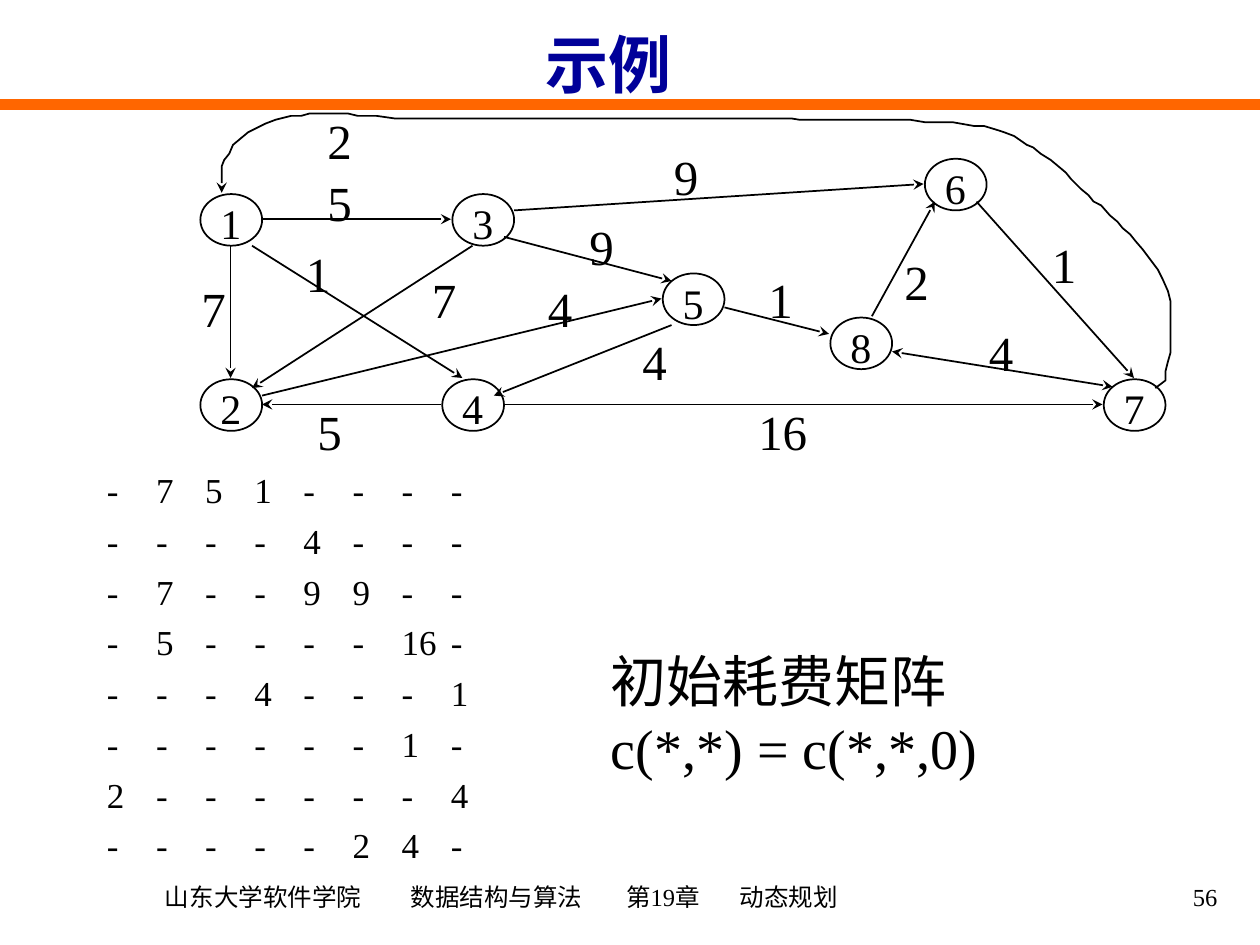
from dataclasses import dataclass

from lxml.etree import SubElement
from pptx import Presentation
from pptx.dml.color import RGBColor
from pptx.enum.shapes import MSO_CONNECTOR as Link, MSO_SHAPE as Kind
from pptx.enum.text import MSO_ANCHOR as Anchor, PP_ALIGN as Align
from pptx.oxml.ns import qn
from pptx.util import Inches, Pt

BLACK = RGBColor(0x00, 0x00, 0x00)
NAVY = RGBColor(0x00, 0x00, 0x99)
ORANGE = RGBColor(0xFF, 0x66, 0x00)
SERIF = "Times New Roman"
HAN = "Noto Sans CJK SC"


@dataclass(frozen=True)
class Node:
    name: str
    left: float
    top: float


@dataclass(frozen=True)
class Edge:
    x1: float
    y1: float
    x2: float
    y2: float
    both: bool = False


@dataclass(frozen=True)
class Cost:
    text: str
    left: float
    top: float
    width: float = 0.42


@dataclass(frozen=True)
class Style:
    size: float
    color: RGBColor = BLACK
    face: str = SERIF
    bold: bool = False
    align: Align = Align.LEFT
    anchor: Anchor = Anchor.TOP
    gap: float = 0
    inset: float = 0.1
    wrap: bool = True
    stops: tuple[float, ...] = ()


NODES = (
    Node("1", 1.59, 1.54), Node("2", 1.59, 3.01), Node("3", 3.59, 1.54),
    Node("4", 3.51, 3.01), Node("5", 5.26, 2.17), Node("6", 7.34, 1.26),
    Node("7", 8.76, 3.01), Node("8", 6.59, 2.52),
)
EDGES = (
    Edge(1.83, 1.95, 1.83, 3), Edge(3.5, 3.21, 2.08, 3.21),
    Edge(2.08, 1.74, 3.58, 1.74), Edge(2, 1.95, 3.67, 3),
    Edge(3.75, 1.95, 2, 3.08), Edge(4, 1.88, 5.33, 2.23),
    Edge(2.08, 3.14, 5.25, 2.37), Edge(5.33, 2.58, 3.92, 3.14),
    Edge(4, 3.21, 8.75, 3.21), Edge(5.75, 2.44, 6.58, 2.65),
    Edge(4.08, 1.67, 7.33, 1.46), Edge(7.75, 1.6, 9, 3),
    Edge(7.08, 2.79, 8.83, 3.07, both=True), Edge(6.92, 2.51, 7.42, 1.6),
)
COSTS = (
    Cost("5", 2.5, 1.32), Cost("7", 1.5, 2.16), Cost("1", 2.33, 1.88, 0.67),
    Cost("7", 3.33, 2.09), Cost("9", 5.25, 1.11), Cost("1", 6, 2.09, 0.67),
    Cost("9", 4.58, 1.67), Cost("4", 4.25, 2.16), Cost("4", 5, 2.58),
    Cost("5", 2.42, 3.14), Cost("16", 5.92, 3.14, 0.83), Cost("4", 7.75, 2.51),
    Cost("2", 2.5, 0.83), Cost("1", 8.25, 1.81), Cost("2", 7.08, 1.95),
)
CURVE = (
    (9.17, 3.08), (9.25, 3.02), (9.25, 2.95), (9.27, 2.87), (9.29, 2.8),
    (9.29, 2.39), (9.27, 2.31), (9.23, 2.22), (9.19, 2.14), (9.13, 2.06),
    (9.07, 1.98), (9.01, 1.91), (8.97, 1.86), (8.91, 1.81), (8.87, 1.76),
    (8.81, 1.71), (8.74, 1.63), (8.68, 1.6), (8.64, 1.55), (8.58, 1.5),
    (8.5, 1.42), (8.46, 1.37), (8.4, 1.32), (8.34, 1.27), (8.26, 1.22),
    (8.2, 1.17), (8.15, 1.15), (8.05, 1.08), (7.97, 1.05), (7.91, 1.03),
    (7.81, 1), (7.73, 1), (7.56, 0.97), (7.34, 0.97), (7.22, 0.95),
    (6.34, 0.95), (6.28, 0.94), (3.13, 0.94), (2.99, 0.92), (2.84, 0.92),
    (2.76, 0.9), (2.46, 0.9), (2.39, 0.92), (2.31, 0.92), (2.19, 0.95),
    (2.11, 0.98), (2.03, 1.02), (1.97, 1.05), (1.91, 1.1), (1.85, 1.15),
    (1.82, 1.22), (1.78, 1.27), (1.76, 1.32), (1.76, 1.53),
)
MATRIX = (
    "- 7 5 1 - - - -", "- - - - 4 - - -", "- 7 - - 9 9 - -", "- 5 - - - - 16 -",
    "- - - 4 - - - 1", "- - - - - - 1 -", "2 - - - - - - 4", "- - - - - 2 4 -",
)
FOOTER = ("山东大学软件学院", "数据结构与算法", "第19章", "动态规划")


def write(slide, lines: tuple[str, ...], left: float, top: float,
          width: float, height: float, style: Style) -> None:
    box = slide.shapes.add_textbox(Inches(left), Inches(top), Inches(width), Inches(height))
    frame = box.text_frame
    frame.word_wrap = style.wrap
    frame.vertical_anchor = style.anchor
    frame.margin_left = Inches(style.inset)
    for row, line in enumerate(lines):
        para = frame.add_paragraph() if row else frame.paragraphs[0]
        para.alignment = style.align
        if row:
            para.space_before = Pt(style.gap)
        if style.stops:
            tabs = SubElement(para._p.get_or_add_pPr(), qn("a:tabLst"))
            for stop in style.stops:
                SubElement(tabs, qn("a:tab"), pos=str(Inches(stop)), algn="l")
        run = para.add_run()
        run.text = line
        font = run.font
        font.size, font.bold, font.name = Pt(style.size), style.bold, style.face
        font.color.rgb = style.color
        SubElement(run._r.get_or_add_rPr(), qn("a:ea"), typeface=HAN)


def stroke(shape, color: RGBColor = BLACK, width: float = 1,
           ends: tuple[str, ...] = ()) -> None:
    shape.line.color.rgb = color
    shape.line.width = Pt(width)
    props = shape.element.spPr
    for end in ends:
        SubElement(props.find(qn("a:ln")), qn(f"a:{end}"), type="stealth")


def join(slide, edge: Edge, color: RGBColor = BLACK, width: float = 1,
         ends: tuple[str, ...] = ()) -> None:
    link = slide.shapes.add_connector(
        Link.STRAIGHT, Inches(edge.x1), Inches(edge.y1), Inches(edge.x2), Inches(edge.y2))
    stroke(link, color, width, ends)
    SubElement(link.element.spPr, qn("a:effectLst"))


def draw_node(slide, node: Node) -> None:
    oval = slide.shapes.add_shape(
        Kind.OVAL, Inches(node.left), Inches(node.top), Inches(0.49), Inches(0.41))
    oval.shadow.inherit = False
    oval.fill.background()
    stroke(oval)
    write(slide, (node.name,), node.left + 0.06, node.top - 0.02, 0.37, 0.5,
          Style(24, wrap=False))


def draw_curve(slide) -> None:
    spots = [(round(x * 100), round(y * 100)) for x, y in CURVE]
    pen = slide.shapes.build_freeform(*spots[0], scale=Inches(0.01))
    pen.add_line_segments(spots[1:], close=False)
    curve = pen.convert_to_shape()
    curve.shadow.inherit = False
    curve.fill.background()
    stroke(curve, ends=("tailEnd",))


def main() -> None:
    """Build the slide with the weighted graph and its cost matrix."""
    deck = Presentation()
    deck.slide_width, deck.slide_height = Inches(10), Inches(7.5)
    slide = deck.slides.add_slide(deck.slide_layouts[6])
    join(slide, Edge(0, 0.83, 10, 0.83), ORANGE, 6)
    write(slide, ("\t".join(FOOTER),), 0.75, 6.86, 6.46, 0.51,
          Style(14, anchor=Anchor.MIDDLE, inset=0.56, stops=(1.95, 3.66, 4.56)))
    write(slide, ("56",), 7.68, 6.87, 2.08, 0.5,
          Style(14, align=Align.RIGHT, anchor=Anchor.MIDDLE))
    write(slide, ("示例",), 0.58, 0, 8.5, 1,
          Style(36, NAVY, HAN, True, Align.CENTER, Anchor.MIDDLE))
    rows = tuple("\t".join(row.split()) for row in MATRIX)
    stops = tuple(round(0.39 * col, 2) for col in range(1, len(MATRIX)))
    write(slide, rows, 0.75, 3.67, 8.5, 3.25, Style(20, gap=5, stops=stops))
    for node in NODES:
        draw_node(slide, node)
    for edge in EDGES:
        join(slide, edge, ends=("headEnd", "tailEnd") if edge.both else ("tailEnd",))
    for cost in COSTS:
        write(slide, (cost.text,), cost.left, cost.top, cost.width, 0.57, Style(28))
    draw_curve(slide)
    write(slide, ("初始耗费矩阵 c(*,*) = c(*,*,0)",), 4.75, 5.08, 3.75, 1.17, Style(32))
    deck.save("out.pptx")


if __name__ == "__main__":
    main()
